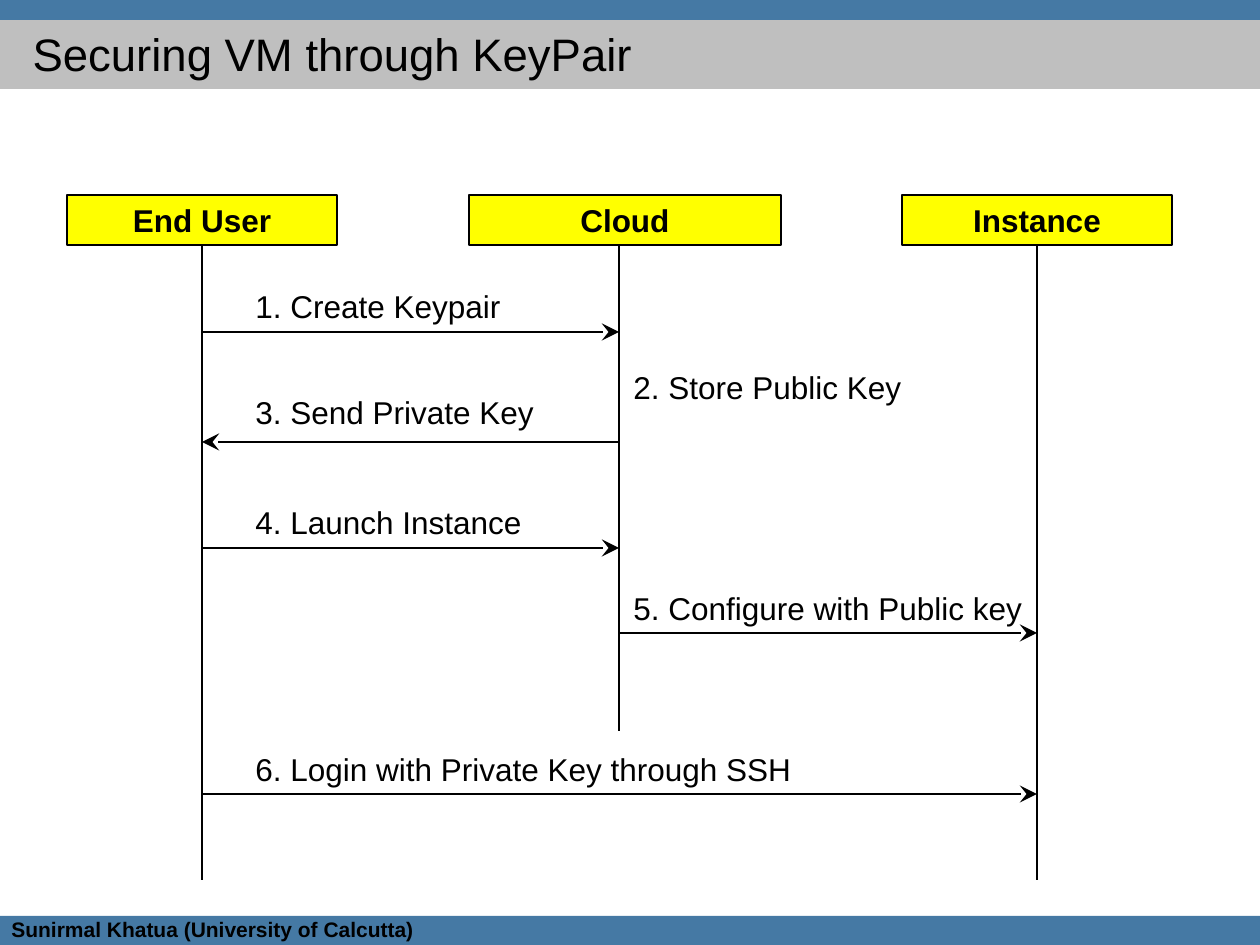
"""Build a sequence diagram slide about securing a VM with a key pair."""
from dataclasses import dataclass

from lxml import etree
from pptx import Presentation
from pptx import util as u
from pptx.dml.color import RGBColor
from pptx.enum import shapes, text
from pptx.oxml.ns import qn

SCALE = 914400 / 126
WIDTH, HEIGHT = 1260, 945
BLACK, YELLOW, GREY, BLUE = "000000", "FFFF00", "BFBFBF", "4579A4"
BOX_TOP, BOX_HEIGHT, LABEL_HEIGHT = 195, 50, 50
USER_X, CLOUD_X, INSTANCE_X = 202, 619, 1037
USER_LABEL_X, CLOUD_LABEL_X = 243, 621


@dataclass
class Actor:
    """A box with its lifeline."""
    name: str
    left: int
    width: int
    line_x: int
    line_end: int


@dataclass
class Message:
    """A numbered step with an optional arrow from start to end."""
    label: str
    left: int
    top: int
    width: int
    start: int = 0
    end: int = 0
    arrow_y: int = 0


@dataclass
class Bar:
    """A full-width band."""
    top: int
    height: int
    color: str


ACTORS = [
    Actor("End User", 67, 270, USER_X, 880),
    Actor("Cloud", 469, 312, CLOUD_X, 731),
    Actor("Instance", 902, 270, INSTANCE_X, 880),
]
MESSAGES = [
    Message("1. Create Keypair", USER_LABEL_X, 281, 377, USER_X, CLOUD_X, 332),
    Message("2. Store Public Key", CLOUD_LABEL_X, 362, 377),
    Message("3. Send Private Key", USER_LABEL_X, 387, 377, CLOUD_X, USER_X, 442),
    Message("4. Launch Instance", USER_LABEL_X, 497, 377, USER_X, CLOUD_X, 548),
    Message("5. Configure with Public key", CLOUD_LABEL_X, 583, 417, CLOUD_X, INSTANCE_X, 633),
    Message("6. Login with Private Key through SSH", USER_LABEL_X, 744, 659, USER_X, INSTANCE_X, 794),
]
BARS = [Bar(916, 29, BLUE), Bar(20, 69, GREY), Bar(0, 20, BLUE)]


def px(*values: int) -> list[u.Emu]:
    """Turn pixels into EMU."""
    return [u.Emu(round(v * SCALE)) for v in values]


def rgb(color: str) -> RGBColor:
    """Turn a hex string into a colour."""
    return RGBColor.from_string(color)


def write(sp, content: str, size: int = 18, bold: bool = False,
          align=text.PP_ALIGN.LEFT, anchor=text.MSO_ANCHOR.TOP) -> None:
    """Put one formatted paragraph into a shape."""
    tf = sp.text_frame
    tf.word_wrap = True
    tf.auto_size = text.MSO_AUTO_SIZE.NONE
    tf.vertical_anchor = anchor
    p = tf.paragraphs[0]
    p.alignment = align
    r = p.add_run()
    r.text = content
    r.font.name = "Arial"
    r.font.size = u.Pt(size)
    r.font.bold = bold
    r.font.color.rgb = rgb(BLACK)


def add_rect(s, left: int, top: int, width: int, height: int, color: str):
    """Add a filled rectangle without an outline."""
    sp = s.shapes.add_shape(shapes.MSO_SHAPE.RECTANGLE, *px(left, top, width, height))
    sp.shadow.inherit = False
    sp.fill.solid()
    sp.fill.fore_color.rgb = rgb(color)
    sp.line.fill.background()
    return sp


def add_label(s, content: str, left: int, top: int, width: int, height: int, **fmt) -> None:
    """Add a text box."""
    write(s.shapes.add_textbox(*px(left, top, width, height)), content, **fmt)


def add_line(s, x1: int, y1: int, x2: int, y2: int, arrow: bool = False):
    """Add a thin straight line, with an arrowhead at its end if asked."""
    line = s.shapes.add_connector(shapes.MSO_CONNECTOR.STRAIGHT, *px(x1, y1, x2, y2))
    line.line.color.rgb = rgb(BLACK)
    line.line.width = u.Pt(0.75)
    if arrow:
        etree.SubElement(line.line._get_or_add_ln(), qn("a:tailEnd"), type="stealth", w="lg", len="lg")
    etree.SubElement(line._element.spPr, qn("a:effectLst"))
    return line


def draw_actor(s, actor: Actor) -> None:
    """Draw an actor's box and lifeline."""
    sp = add_rect(s, actor.left, BOX_TOP, actor.width, BOX_HEIGHT, YELLOW)
    sp.line.color.rgb = rgb(BLACK)
    sp.line.width = u.Pt(0.75)
    write(sp, actor.name, bold=True, align=text.PP_ALIGN.CENTER)
    line = add_line(s, actor.line_x, BOX_TOP + BOX_HEIGHT, actor.line_x, actor.line_end)
    if actor.line_x == actor.left + actor.width // 2:
        line.begin_connect(sp, 2)


def draw_message(s, message: Message) -> None:
    """Draw a step's arrow and label."""
    if message.arrow_y:
        add_line(s, message.start, message.arrow_y, message.end, message.arrow_y, arrow=True)
    add_label(s, message.label, message.left, message.top, message.width, LABEL_HEIGHT)


def draw_title(s, content: str) -> None:
    """Place the title in front of the bands."""
    sp = s.shapes.title
    sp.left, sp.top, sp.width, sp.height = px(20, 20, 955, 68)
    write(sp, content, size=26)
    s.shapes._spTree.append(sp._element)


def main() -> None:
    """Build and save the slide."""
    prs = Presentation()
    prs.slide_width, prs.slide_height = px(WIDTH, HEIGHT)
    s = prs.slides.add_slide(prs.slide_layouts[5])
    for actor in ACTORS:
        draw_actor(s, actor)
    for message in MESSAGES:
        draw_message(s, message)
    for bar in BARS:
        add_rect(s, 0, bar.top, WIDTH, bar.height, bar.color)
    add_label(s, "Sunirmal Khatua (University of Calcutta)", -1, 910, 689, 38, size=12, bold=True)
    draw_title(s, "Securing VM through KeyPair")
    prs.save("out.pptx")


if __name__ == "__main__":
    main()
